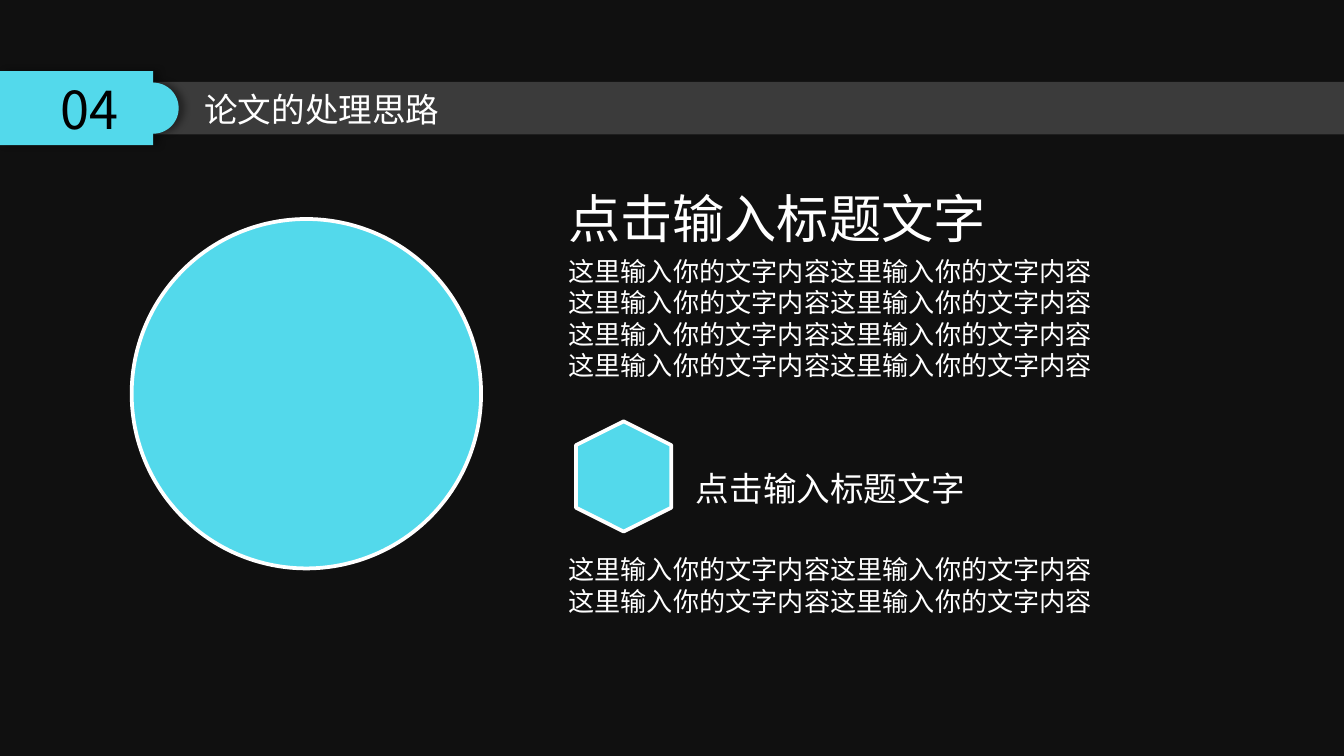
from math import cos, pi, sin

from lxml.etree import SubElement
from pptx import Presentation
from pptx.dml.color import RGBColor
from pptx.enum.shapes import MSO_SHAPE as Shape
from pptx.enum.text import MSO_ANCHOR as Anchor, MSO_AUTO_SIZE as AutoSize, PP_ALIGN as Align
from pptx.oxml.ns import qn
from pptx.util import Inches, Pt

THEME = {
    "background": "101010", "accent": "53D9EB", "light": "FFFFFF", "dark": "000000",
    "font": "Noto Sans CJK SC", "number_font": "Noto Sans CJK JP",
    "heading": 28, "title": 18, "body": 14, "outline": 2, "leading": 1.2,
}
SECTION_NUMBER = "04"
SECTION_TITLE = "论文的处理思路"
HEADING = "点击输入标题文字"
BODY_LINE = "这里输入你的文字内容这里输入你的文字内容"

SLIDE_WIDTH = Inches(10)
SLIDE_HEIGHT = SLIDE_WIDTH * 9 // 16
TITLE_BOX = (1.42, 0.61, 1.97, 0.4)
BODY_BLOCKS = [
    ([BODY_LINE] * 4, (4.13, 1.85, 4.13, 1.28)),
    ([BODY_LINE] * 2, (4.13, 4.07, 4.13, 0.57)),
]
HEADINGS = [
    ("heading", (4.13, 1.34, 3.34, 0.57)),
    ("title", (5.08, 3.43, 2.22, 0.4)),
]
OUTLINED_SHAPES = [
    (Shape.OVAL, (0.98, 1.63, 2.6, 2.6), 0),
    (Shape.HEXAGON, (4.23, 3.19, 0.82, 0.71), 90),
]
BAR = (0, 0.61, 10, 0.39)
TAB = {"top": 0.53, "bottom": 1.08, "side": 1.14, "radius": 0.19, "steps": 48}


def color(name):
    return RGBColor.from_string(THEME[name])


def box(values):
    return [Inches(value) for value in values]


def set_all(target, values):
    for name, value in values.items():
        setattr(target, name, value)


def place(shape, values):
    set_all(shape, dict(zip(("left", "top", "width", "height"), box(values))))


def fill_shape(shape, fill, outline=None):
    shape.shadow.inherit = False
    shape.fill.solid()
    shape.fill.fore_color.rgb = color(fill)
    if outline:
        shape.line.color.rgb = color(outline)
        shape.line.width = Pt(THEME["outline"])
    else:
        shape.line.fill.background()


def write(shape, lines, size, ink="light", font="font", align=Align.LEFT,
          anchor=Anchor.TOP, wrap=False, plain_list=False):
    frame = shape.text_frame
    set_all(frame, {"word_wrap": wrap, "auto_size": AutoSize.NONE, "vertical_anchor": anchor})
    frame.text = "\n".join(lines)
    for paragraph in frame.paragraphs:
        if plain_list:
            properties = paragraph._p.get_or_add_pPr()
            properties.set("marL", "0")
            properties.set("indent", "0")
            SubElement(properties, qn("a:buNone"))
        set_all(paragraph, {"alignment": align, "space_before": Pt(0),
                            "line_spacing": Pt(THEME[size] * THEME["leading"])})
        for run in paragraph.runs:
            set_all(run.font, {"size": Pt(THEME[size]), "name": THEME[font], "bold": False})
            run.font.color.rgb = color(ink)
            SubElement(run._r.get_or_add_rPr(), qn("a:ea"), typeface=THEME[font])


def add_bar(slide):
    bar = slide.shapes.add_shape(Shape.RECTANGLE, *box(BAR))
    fill_shape(bar, "light")
    shade = bar._element.spPr.find(qn("a:solidFill"))[0]
    SubElement(shade, qn("a:alpha"), val="18000")


def add_number_tab(slide):
    side, radius, steps = TAB["side"], TAB["radius"], TAB["steps"]
    middle = (TAB["top"] + TAB["bottom"]) / 2
    angles = [pi * step / steps - pi / 2 for step in range(steps + 1)]
    arc = [(side + radius * cos(angle), middle + radius * sin(angle)) for angle in angles]
    points = [(side, TAB["top"]), *arc, (side, TAB["bottom"]), (0, TAB["bottom"])]
    builder = slide.shapes.build_freeform(0, Inches(TAB["top"]))
    builder.add_line_segments([box(point) for point in points], close=True)
    tab = builder.convert_to_shape()
    fill_shape(tab, "accent")
    effects = tab._element.spPr.find(qn("a:effectLst"))
    shadow = SubElement(effects, qn("a:outerShdw"), blurRad=str(Pt(4)), dist=str(Pt(3)),
                        dir="0", algn="l", rotWithShape="0")
    shade = SubElement(shadow, qn("a:srgbClr"), val=THEME["dark"])
    SubElement(shade, qn("a:alpha"), val="40000")
    write(tab, [SECTION_NUMBER], "heading", "dark", "number_font",
          Align.CENTER, Anchor.MIDDLE, wrap=True)


def main():
    presentation = Presentation()
    set_all(presentation, {"slide_width": SLIDE_WIDTH, "slide_height": SLIDE_HEIGHT})
    slide = presentation.slides.add_slide(presentation.slide_layouts.get_by_name("Two Content"))
    slide.background.fill.solid()
    slide.background.fill.fore_color.rgb = color("background")
    title, *bodies = slide.placeholders

    add_bar(slide)
    add_number_tab(slide)
    slide.shapes._spTree.append(title._element)
    place(title, TITLE_BOX)
    write(title, [SECTION_TITLE], "title")

    for kind, bounds, rotation in OUTLINED_SHAPES:
        shape = slide.shapes.add_shape(kind, *box(bounds))
        shape.rotation = rotation
        fill_shape(shape, "accent", "light")

    for body, (lines, bounds) in zip(bodies, BODY_BLOCKS):
        place(body, bounds)
        write(body, lines, "body", plain_list=True)

    for size, bounds in HEADINGS:
        write(slide.shapes.add_textbox(*box(bounds)), [HEADING], size)

    presentation.save("out.pptx")


if __name__ == "__main__":
    main()
